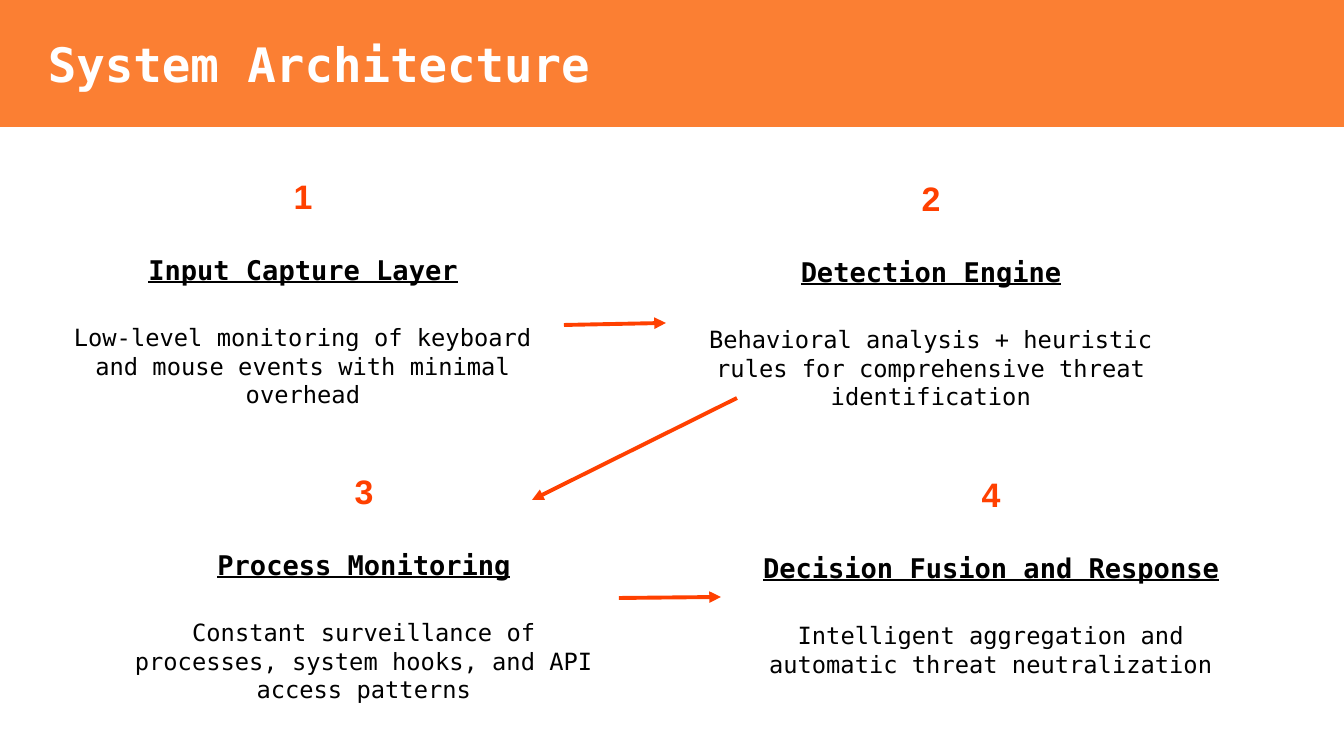
"""Build the System Architecture slide: four numbered stages joined by arrows."""
from dataclasses import dataclass

import lxml.etree
import pptx
import pptx.dml.color
import pptx.enum.shapes
import pptx.enum.text
import pptx.oxml.ns
import pptx.util

PX = 914400 / 122
WIDTH, HEIGHT, BANNER = 1344, 756, 127
ORANGE = pptx.dml.color.RGBColor(0xFB, 0x7F, 0x33)
RED = pptx.dml.color.RGBColor(0xFF, 0x40, 0x00)
BLACK = pptx.dml.color.RGBColor(0, 0, 0)
WHITE = pptx.dml.color.RGBColor(0xFF, 0xFF, 0xFF)
MONO = "DejaVu Sans Mono"
LEFT = pptx.enum.text.PP_ALIGN.LEFT
CENTER = pptx.enum.text.PP_ALIGN.CENTER


@dataclass(frozen=True)
class Stage:
    heading: str
    detail: str
    x: int
    y: int
    w: int
    h: int


@dataclass(frozen=True)
class Arrow:
    x1: int
    y1: int
    x2: int
    y2: int


STAGES = [
    Stage("Input Capture Layer",
          "Low-level monitoring of keyboard and mouse events with minimal overhead",
          56, 170, 494, 251),
    Stage("Detection Engine",
          "Behavioral analysis + heuristic rules for comprehensive threat identification",
          667, 172, 528, 251),
    Stage("Process Monitoring",
          "Constant surveillance of processes, system hooks, and API access patterns",
          111, 465, 506, 251),
    Stage("Decision Fusion and Response",
          "Intelligent aggregation and automatic threat neutralization",
          739, 468, 504, 189),
]
ARROWS = [
    Arrow(564, 325, 666, 323),
    Arrow(737, 398, 532, 500),
    Arrow(619, 598, 721, 597),
]


def px(n: int) -> pptx.util.Emu:
    return pptx.util.Emu(round(n * PX))


def write(p, text: str, *, size: int, color=BLACK, font: str = MONO,
          bold: bool = True, underline: bool = False, align=CENTER) -> None:
    p.alignment = align
    p.space_before = pptx.util.Pt(11.9)
    p.space_after = pptx.util.Pt(9.9)
    r = p.add_run()
    r.text = text
    r.font.name = font
    r.font.size = pptx.util.Pt(size)
    r.font.bold = bold
    r.font.underline = underline
    r.font.color.rgb = color


def draw_banner(s, title: str) -> None:
    sp = s.shapes.add_shape(pptx.enum.shapes.MSO_SHAPE.RECTANGLE,
                            0, 0, px(WIDTH), px(BANNER))
    sp.shadow.inherit = False
    sp.fill.solid()
    sp.fill.fore_color.rgb = ORANGE
    sp.line.fill.background()
    tf = sp.text_frame
    tf.word_wrap = True
    tf.vertical_anchor = pptx.enum.text.MSO_ANCHOR.MIDDLE
    tf.margin_left = px(48)
    tf.margin_top = tf.margin_right = tf.margin_bottom = 0
    write(tf.paragraphs[0], title, size=28, color=WHITE, align=LEFT)


def draw_stage(s, number: int, stage: Stage) -> None:
    sp = s.shapes.add_textbox(px(stage.x), px(stage.y), px(stage.w), px(stage.h))
    tf = sp.text_frame
    tf.word_wrap = True
    tf.auto_size = pptx.enum.text.MSO_AUTO_SIZE.SHAPE_TO_FIT_TEXT
    write(tf.paragraphs[0], str(number), size=20, color=RED, font="Arial")
    write(tf.add_paragraph(), stage.heading, size=16, underline=True)
    write(tf.add_paragraph(), stage.detail, size=14, bold=False)


def draw_arrow(s, arrow: Arrow) -> None:
    sp = s.shapes.add_connector(pptx.enum.shapes.MSO_CONNECTOR.STRAIGHT,
                                px(arrow.x1), px(arrow.y1), px(arrow.x2), px(arrow.y2))
    sp.line.color.rgb = RED
    sp.line.width = pptx.util.Pt(2.3)
    qn = pptx.oxml.ns.qn
    lxml.etree.SubElement(sp.line._get_or_add_ln(), qn("a:tailEnd"), type="triangle")
    lxml.etree.SubElement(sp._element.spPr, qn("a:effectLst"))


def main() -> None:
    prs = pptx.Presentation()
    prs.slide_width, prs.slide_height = px(WIDTH), px(HEIGHT)
    s = prs.slides.add_slide(prs.slide_layouts[6])
    draw_banner(s, "System Architecture")
    for number, stage in enumerate(STAGES, 1):
        draw_stage(s, number, stage)
    for arrow in ARROWS:
        draw_arrow(s, arrow)
    prs.save("out.pptx")


if __name__ == "__main__":
    main()
